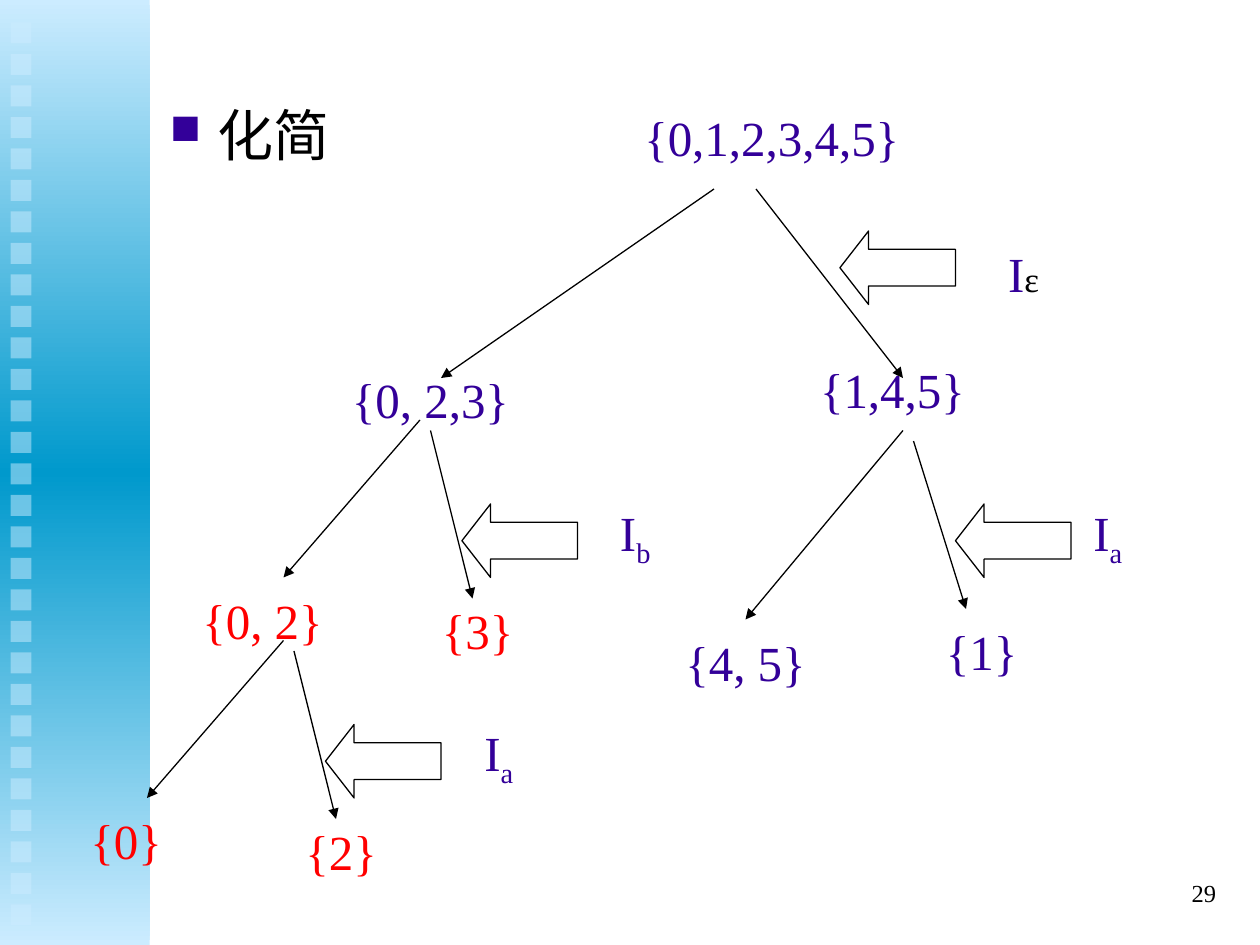
from collections import namedtuple
from pptx import Presentation
from pptx.dml.color import RGBColor
from pptx.enum.shapes import MSO_CONNECTOR, MSO_SHAPE
from pptx.enum.text import MSO_ANCHOR, PP_ALIGN
from pptx.oxml.ns import qn
from pptx.util import Pt
from lxml.etree import SubElement

PX = 9525
FONT = "Times New Roman"
COLORS = {
    "sky": "CCECFF",
    "ocean": "0099CC",
    "indigo": "330099",
    "red": "FF0000",
    "black": "000000",
}
Box = namedtuple("Box", "left top width height")
Split = namedtuple("Split", "edges leaves arrow label")

ROOT_SPLIT = Split(
    edges=[(336, 0, 128, 144), (368, 0, 480, 144)],
    leaves=[Box(0, 128, 240, 64), Box(352, 120, 240, 64)],
    arrow=Box(432, 32, 88, 56),
    label=Box(528, 32, 88, 64),
)
LEFT_SPLIT = Split(
    edges=[(184, 0, 80, 120), (192, 8, 224, 136)],
    leaves=[Box(0, 120, 128, 64), Box(160, 128, 136, 64)],
    arrow=Box(216, 64, 88, 56),
    label=Box(304, 56, 88, 64),
)
RIGHT_SPLIT = Split(
    edges=[(184, 0, 64, 144), (192, 8, 232, 136)],
    leaves=[Box(0, 144, 128, 64), Box(176, 136, 136, 64)],
    arrow=Box(224, 56, 88, 56),
    label=Box(296, 48, 88, 64),
)


def rgb(name):
    return RGBColor.from_string(COLORS[name])


def emu(*lengths):
    return [length * PX for length in lengths]


def inside(box, part):
    return Box(box.left + part.left, box.top + part.top, part.width, part.height)


def add_span(para, text, size, color, baseline=0):
    span = para.add_run()
    span.text = text
    span.font.size = Pt(size)
    span.font.name = FONT
    span.font.color.rgb = rgb(color)
    if baseline:
        span.font._element.set("baseline", str(baseline * 1000))


def add_text(page, box, align, anchor=MSO_ANCHOR.TOP):
    frame = page.shapes.add_textbox(*emu(*box)).text_frame
    frame.word_wrap = True
    frame.vertical_anchor = anchor
    para = frame.paragraphs[0]
    para.alignment = align
    return para


def add_centred(page, box):
    return add_text(page, box, PP_ALIGN.CENTER, MSO_ANCHOR.MIDDLE)


def add_node(page, box, text, color):
    add_span(add_centred(page, box), text, 28, color)


def add_plain_shape(page, kind, box):
    shape = page.shapes.add_shape(kind, *emu(*box))
    shape.shadow.inherit = False
    return shape


def add_edge(page, box, edge):
    x1, y1, x2, y2 = edge
    ends = emu(box.left + x1, box.top + y1, box.left + x2, box.top + y2)
    line = page.shapes.add_connector(MSO_CONNECTOR.STRAIGHT, *ends)
    line.line.color.rgb = rgb("black")
    line.line.width = Pt(0.75)
    SubElement(line.line._get_or_add_ln(), qn("a:tailEnd"), type="triangle")
    SubElement(line._element.spPr, qn("a:effectLst"))


def draw_sidebar(page, box):
    bar = add_plain_shape(page, MSO_SHAPE.RECTANGLE, box)
    bar.line.fill.background()
    bar.fill.gradient()
    bar.fill.gradient_angle = 270
    stops = bar._element.spPr.find(qn("a:gradFill")).find(qn("a:gsLst"))
    for stop in list(stops):
        stops.remove(stop)
    for position, color in ((0, "sky"), (50, "ocean"), (100, "sky")):
        stop = SubElement(stops, qn("a:gs"), pos=str(position * 1000))
        SubElement(stop, qn("a:srgbClr"), val=COLORS[color])

    for row in range(29):
        tile = Box(box.left + 8, box.top + 17 + 24 * row, 16, 16)
        square = add_plain_shape(page, MSO_SHAPE.RECTANGLE, tile)
        square.line.fill.background()
        square.fill.solid()
        square.fill.fore_color.rgb = rgb("sky")
        fill = square._element.spPr.find(qn("a:solidFill"))
        SubElement(fill[0], qn("a:alpha"), val="50000")


def draw_heading(page, box, text):
    para = add_text(page, box, PP_ALIGN.LEFT)
    para.space_before = Pt(8)
    props = para._p.get_or_add_pPr()
    props.set("marL", str(36 * PX))
    props.set("indent", str(-36 * PX))
    color = SubElement(props, qn("a:buClr"))
    SubElement(color, qn("a:srgbClr"), val=COLORS["indigo"])
    SubElement(props, qn("a:buSzPct"), val="75000")
    SubElement(props, qn("a:buChar"), char="■")
    add_span(para, text, 32, "black")


def draw_split(page, box, split, leaves, symbol):
    for leaf, (text, color) in zip(split.leaves, leaves):
        add_node(page, inside(box, leaf), text, color)
    for edge in split.edges:
        add_edge(page, box, edge)

    arrow = add_plain_shape(page, MSO_SHAPE.LEFT_ARROW, inside(box, split.arrow))
    arrow.adjustments[0] = 0.5
    arrow.adjustments[1] = 0.39
    arrow.fill.background()
    arrow.line.color.rgb = rgb("black")
    arrow.line.width = Pt(0.75)

    para = add_centred(page, inside(box, split.label))
    add_span(para, "I", 28, "indigo")
    add_span(para, *symbol)


def draw_tree(page, box):
    sub_a = ("a", 28, "indigo", -25)
    sub_b = ("b", 28, "indigo", -25)
    epsilon = ("ε", 20, "black")
    splits = [
        (176, 72, ROOT_SPLIT, ("{0, 2,3}", "{1,4,5}"), "indigo", epsilon),
        (104, 248, LEFT_SPLIT, ("{0, 2}", "{3}"), "red", sub_b),
        (472, 256, RIGHT_SPLIT, ("{4, 5}", "{1}"), "indigo", sub_a),
        (0, 416, LEFT_SPLIT, ("{0}", "{2}"), "red", sub_a),
    ]
    add_node(page, inside(box, Box(432, 0, 248, 64)), "{0,1,2,3,4,5}", "indigo")
    for left, top, split, texts, color, symbol in splits:
        area = Box(box.left + left, box.top + top, 0, 0)
        draw_split(page, area, split, [(text, color) for text in texts], symbol)


def draw_page_number(page, box, number):
    add_span(add_text(page, box, PP_ALIGN.RIGHT, MSO_ANCHOR.MIDDLE), number, 14, "black")


def main():
    deck = Presentation()
    deck.slide_width, deck.slide_height = emu(960, 720)
    page = deck.slides.add_slide(deck.slide_layouts[6])
    draw_sidebar(page, Box(0, 0, 114, 720))
    draw_heading(page, Box(120, 72, 816, 568), "化简")
    draw_tree(page, Box(32, 72, 856, 608))
    draw_page_number(page, Box(736, 656, 200, 48), "29")
    deck.save("out.pptx")


if __name__ == "__main__":
    main()
